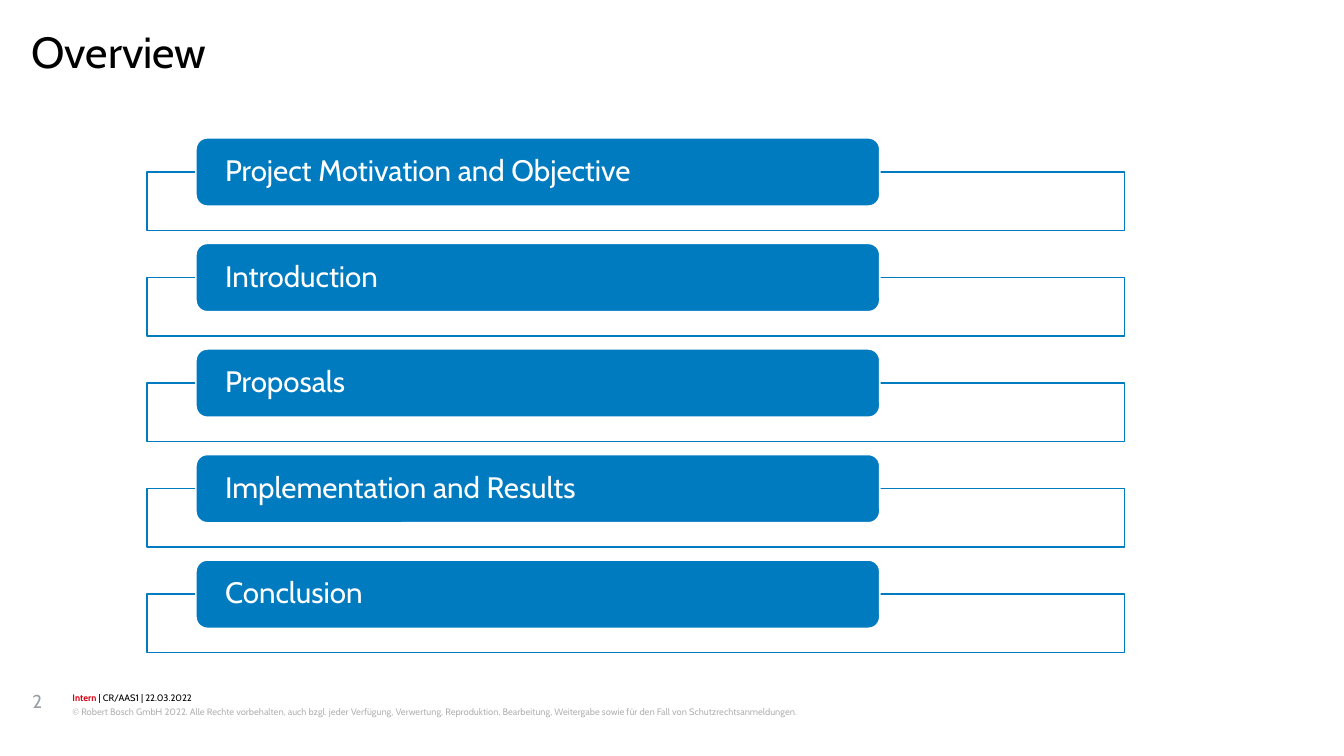
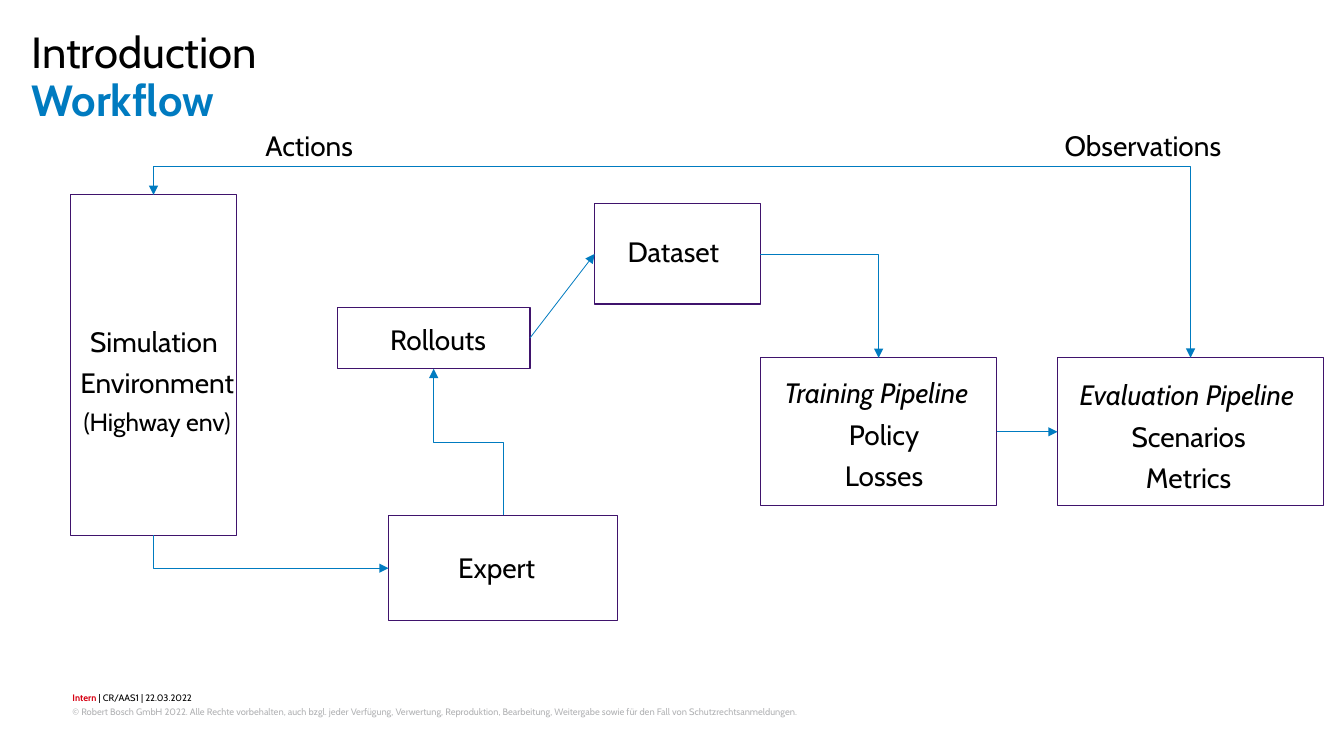
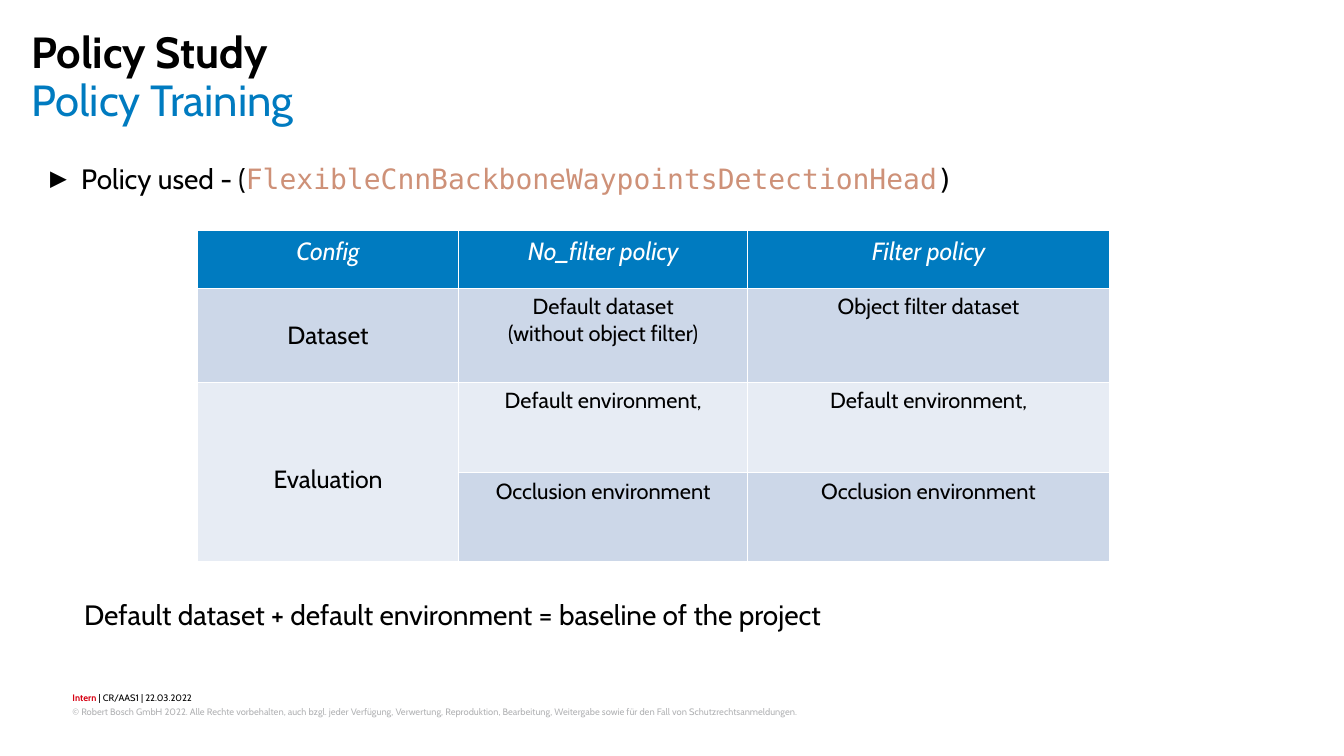
from lxml import etree
from pptx import Presentation
from pptx.dml.color import RGBColor
from pptx.enum.shapes import MSO_CONNECTOR, MSO_SHAPE
from pptx.enum.text import MSO_ANCHOR, PP_ALIGN
from pptx.oxml.ns import qn
from pptx.util import Pt

RECTANGLE, ROUNDED = MSO_SHAPE.RECTANGLE, MSO_SHAPE.ROUNDED_RECTANGLE
STRAIGHT, ELBOW = MSO_CONNECTOR.STRAIGHT, MSO_CONNECTOR.ELBOW
LEFT, CENTER = PP_ALIGN.LEFT, PP_ALIGN.CENTER
TOP_ANCHOR, MIDDLE_ANCHOR = MSO_ANCHOR.TOP, MSO_ANCHOR.MIDDLE

# Shared look
FONT, CODE_FONT = "Cabin", "DejaVu Sans Mono"
BLUE, PURPLE, RED = "007BC0", "3F136C", "D70012"
BLACK, WHITE, GRAY, PALE_GRAY = "000000", "FFFFFF", "999FA6", "B2B3B5"
CODE_COLOR, BAND_DARK, BAND_LIGHT = "CE9178", "CCD7E8", "E7ECF4"
TITLE_TOP, SUBTITLE_TOP = 20.2, 51.1
TITLE_SPACING = 0.89

# Connection sites of a rectangle
TOP, LEFT_SIDE, BOTTOM, RIGHT_SIDE = range(4)

COPYRIGHT = ("© Robert Bosch GmbH 2022. Alle Rechte vorbehalten, auch bzgl. jeder Verfügung, "
             "Verwertung, Reproduktion, Bearbeitung, Weitergabe sowie für den Fall von "
             "Schutzrechtsanmeldungen.")


def rgb(color):
    return RGBColor.from_string(color)


def points(*lengths):
    return [Pt(length) for length in lengths]


def set_font(font, size, color=BLACK, bold=False, italic=False, name=FONT):
    font.name, font.size = name, Pt(size)
    font.bold, font.italic = bold, italic
    font.color.rgb = rgb(color)


def write(paragraph, text, size, align=LEFT, spacing=None, **style):
    paragraph.text = text
    paragraph.alignment = align
    if spacing:
        paragraph.line_spacing = spacing
    set_font(paragraph.font, size, **style)


def write_runs(paragraph, size, *runs):
    for text, style in runs:
        run = paragraph.add_run()
        run.text = text
        set_font(run.font, size, **style)


def prepare_frame(frame, anchor=TOP_ANCHOR, side_margin=0):
    frame.word_wrap = True
    frame.vertical_anchor = anchor
    frame.margin_left = frame.margin_right = Pt(side_margin)
    frame.margin_top = frame.margin_bottom = 0


def add_text_box(slide, place):
    frame = slide.shapes.add_textbox(*points(*place)).text_frame
    prepare_frame(frame)
    return frame


def add_label(slide, place, *lines):
    """One paragraph for each (text, options)."""
    frame = add_text_box(slide, place)
    for index, (text, options) in enumerate(lines):
        paragraph = frame.add_paragraph() if index else frame.paragraphs[0]
        write(paragraph, text, **{"size": 18, **options})
        if index:
            paragraph.space_before = Pt(5)


def add_box(slide, kind, place, line_color, line_width, fill=None):
    shape = slide.shapes.add_shape(kind, *points(*place))
    shape.shadow.inherit = False
    if fill:
        shape.fill.solid()
        shape.fill.fore_color.rgb = rgb(fill)
    else:
        shape.fill.background()
    shape.line.color.rgb = rgb(line_color)
    shape.line.width = Pt(line_width)
    return shape


def bend(connector, begin_site, end_site, adjustment):
    """Route an elbow so that it leaves and enters the sites squarely."""
    left, top = connector.left, connector.top
    width, height = connector.width, connector.height
    properties = connector.element.spPr
    if begin_site % 2 != end_site % 2:
        properties.find(qn("a:prstGeom")).set("prst", "bentConnector2")
    if begin_site in (TOP, BOTTOM):
        goes_down = connector.end_y > connector.begin_y
        goes_left = connector.end_x < connector.begin_x
        connector.left = left + (width - height) // 2
        connector.top = top + (height - width) // 2
        connector.width, connector.height = height, width
        transform = properties.find(qn("a:xfrm"))
        transform.set("rot", "16200000")
        transform.set("flipH", str(int(goes_down)))
        transform.set("flipV", str(int(goes_left)))
    if adjustment is not None:
        values = properties.find(qn("a:prstGeom")).get_or_add_avLst()
        etree.SubElement(values, qn("a:gd"), name="adj1", fmla=f"val {adjustment}")


def link(slide, begin, begin_site, end, end_site, kind=ELBOW, adjustment=None, both=False):
    connector = slide.shapes.add_connector(kind, 0, 0, 0, 0)
    connector.begin_connect(begin, begin_site)
    connector.end_connect(end, end_site)
    if kind == ELBOW:
        bend(connector, begin_site, end_site, adjustment)
    connector.line.color.rgb = rgb(BLUE)
    connector.line.width = Pt(0.5)
    line = connector.line._get_or_add_ln()
    for tag in ("a:headEnd", "a:tailEnd") if both else ("a:tailEnd",):
        etree.SubElement(line, qn(tag), type="triangle")
    etree.SubElement(connector.element.spPr, qn("a:effectLst"))


def place_title(slide, text, top, **style):
    title = slide.shapes.title
    title.left, title.top, title.width, title.height = points(20.2, top, 823, 31)
    prepare_frame(title.text_frame)
    write(title.text_frame.paragraphs[0], text, 28, spacing=TITLE_SPACING, **style)


def add_heading(slide, text, **style):
    frame = add_text_box(slide, (20.2, TITLE_TOP, 823, 31))
    write(frame.paragraphs[0], text, 28, spacing=TITLE_SPACING, **style)


def add_slide(presentation):
    """Title-only slide with the shared footer."""
    slide = presentation.slides.add_slide(presentation.slide_layouts[5])
    paragraph = add_text_box(slide, (46.6, 444.2, 720.7, 8.6)).paragraphs[0]
    paragraph.line_spacing = 1.07
    write_runs(paragraph, 6, ("Intern", {"color": RED, "bold": True}),
               (" | CR/AAS1 | 22.03.2022", {}))
    frame = add_text_box(slide, (46.6, 452.5, 720.7, 17.3))
    write(frame.paragraphs[0], COPYRIGHT, 6, spacing=1.2, color=PALE_GRAY)
    return slide


def build_overview(presentation):
    slide = add_slide(presentation)
    place_title(slide, "Overview", TITLE_TOP)
    number = add_text_box(slide, (20.9, 443.5, 23, 32.4))
    write(number.paragraphs[0], "2", 12, color=GRAY)

    topics = ("Project Motivation and Objective", "Introduction", "Proposals",
              "Implementation and Results", "Conclusion")
    for index, topic in enumerate(topics):
        top = 88.6 + index * 67.86
        add_box(slide, RECTANGLE, (94.4, top + 21.8, 628.6, 37.8), BLUE, 1, WHITE)
        pill = add_box(slide, ROUNDED, (126, top, 439.6, 43.9), WHITE, 1, BLUE)
        prepare_frame(pill.text_frame, anchor=MIDDLE_ANCHOR, side_margin=16.6)
        write(pill.text_frame.paragraphs[0], topic, 19, spacing=0.9, color=WHITE)


def build_workflow(presentation):
    slide = add_slide(presentation)
    add_heading(slide, "Introduction")
    place_title(slide, "Workflow", SUBTITLE_TOP, color=BLUE, bold=True)

    # Stages
    places = {
        "simulation": (45.4, 125.3, 106.6, 218.9),
        "expert": (249.8, 331.4, 147, 67.7),
        "rollouts": (216.9, 197.5, 123.8, 39.6),
        "dataset": (382.3, 131, 106.6, 64.5),
        "training": (488.9, 230, 151.9, 95.2),
        "evaluation": (679.9, 230, 171, 95.2),
    }
    stages = {name: add_box(slide, RECTANGLE, place, PURPLE, 0.75)
              for name, place in places.items()}

    # Labels
    centered, italic = {"align": CENTER}, {"italic": True}
    add_label(slide, (46, 208.4, 110, 72), ("Simulation ", centered),
              ("Environment", centered), ("(Highway env)", {"align": CENTER, "size": 16}))
    add_label(slide, (504.2, 241.6, 128.2, 72), ("Training Pipeline", italic),
              ("Policy", centered), ("Losses", centered))
    add_label(slide, (694.1, 242.9, 140, 72), ("Evaluation Pipeline", italic),
              ("Scenarios", centered), ("Metrics", centered))
    for text, left, top, width in (
            ("Expert", 294.5, 353.8, 72), ("Rollouts", 250.8, 207.4, 72),
            ("Dataset", 403.5, 150.7, 72), ("Observations", 684.4, 82.8, 110),
            ("Actions", 170.6, 82.8, 72)):
        add_label(slide, (left, top, width, 30), (text, {}))

    # Flow
    simulation, expert, rollouts, dataset, training, evaluation = stages.values()
    link(slide, rollouts, RIGHT_SIDE, dataset, LEFT_SIDE, STRAIGHT)
    link(slide, dataset, RIGHT_SIDE, training, TOP)
    link(slide, training, RIGHT_SIDE, evaluation, LEFT_SIDE, STRAIGHT)
    link(slide, simulation, BOTTOM, expert, LEFT_SIDE)
    link(slide, expert, TOP, rollouts, BOTTOM, adjustment=50000)
    link(slide, simulation, TOP, evaluation, TOP, adjustment=-17300, both=True)


def set_borders(cell):
    properties = cell._tc.get_or_add_tcPr()
    for side in "LRTB":
        line = etree.SubElement(properties, qn(f"a:ln{side}"), w=str(Pt(1)))
        fill = etree.SubElement(line, qn("a:solidFill"))
        etree.SubElement(fill, qn("a:srgbClr"), val=WHITE)


def fill_cell(cell, text, fill, anchor=TOP_ANCHOR, **style):
    set_borders(cell)
    cell.fill.solid()
    cell.fill.fore_color.rgb = rgb(fill)
    cell.vertical_anchor = anchor
    frame = cell.text_frame
    for index, line in enumerate(text.split("\n")):
        paragraph = frame.add_paragraph() if index else frame.paragraphs[0]
        write(paragraph, line, align=CENTER, **style)


def add_policy_table(slide):
    rows = (
        ("Config", "No_filter policy", "Filter policy"),
        ("Dataset", "Default dataset\n(without object filter)", "Object filter dataset"),
        ("Evaluation", "Default environment,", "Default environment,"),
        ("", "Occlusion environment", "Occlusion environment"),
    )
    fills = (BLUE, BAND_DARK, BAND_LIGHT, BAND_DARK)
    widths, heights = (168, 185.8, 232.6), (37, 60.4, 58, 57.4)
    table = slide.shapes.add_table(len(rows), len(widths), *points(
        126.9, 148.3, sum(widths), sum(heights))).table
    table.horz_banding = False
    for column, width in zip(table.columns, widths):
        column.width = Pt(width)
    for row, height in zip(table.rows, heights):
        row.height = Pt(height)
    for row, (texts, fill) in enumerate(zip(rows, fills)):
        for column, text in enumerate(texts):
            if row == 0:
                options = {"size": 16, "color": WHITE, "italic": True}
            elif column == 0:
                options = {"size": 16, "anchor": MIDDLE_ANCHOR,
                           "spacing": 1.5 if text == "Evaluation" else None}
            else:
                options = {"size": 14}
            fill_cell(table.cell(row, column), text, fill, **options)
    table.cell(2, 0).merge(table.cell(3, 0))


def build_policy_training(presentation):
    slide = add_slide(presentation)
    add_heading(slide, "Policy Study", bold=True)
    place_title(slide, "Policy Training", SUBTITLE_TOP, color=BLUE)

    # Bullet with the class name
    paragraph = add_text_box(slide, (32.2, 102.2, 810.7, 328.3)).paragraphs[0]
    properties = paragraph._p.get_or_add_pPr()
    properties.set("marL", str(Pt(20)))
    properties.set("indent", str(Pt(-20)))
    etree.SubElement(properties, qn("a:buFont"), typeface=CODE_FONT)
    etree.SubElement(properties, qn("a:buChar"), char="▶")
    paragraph.line_spacing = 1.07
    write_runs(paragraph, 18, ("Policy used - (", {}),
               ("FlexibleCnnBackboneWaypointsDetectionHead",
                {"color": CODE_COLOR, "name": CODE_FONT}),
               (")", {"name": CODE_FONT}))

    add_policy_table(slide)
    add_label(slide, (54, 384, 500, 30),
              ("Default dataset + default environment = baseline of the project", {}))


def main():
    presentation = Presentation()
    presentation.slide_width, presentation.slide_height = points(864, 486)
    build_overview(presentation)
    build_workflow(presentation)
    build_policy_training(presentation)
    presentation.save("out.pptx")


if __name__ == "__main__":
    main()
